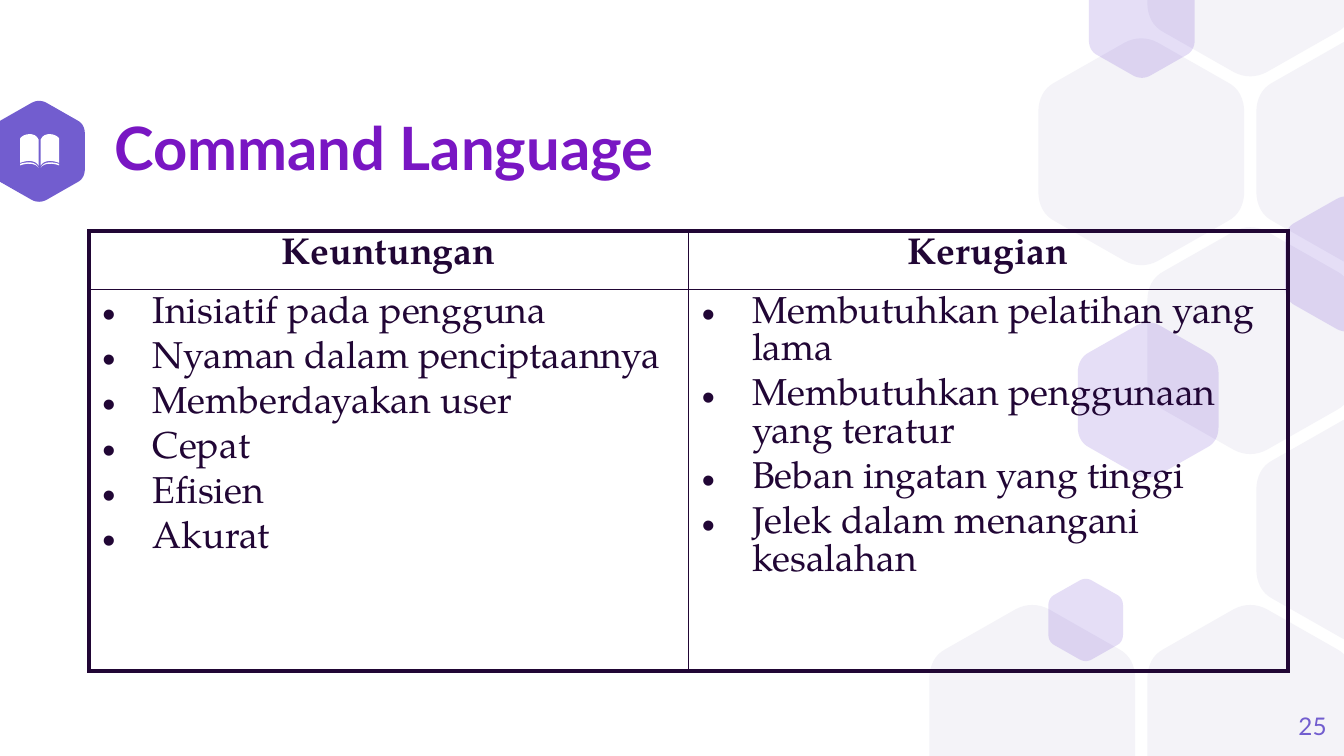
from dataclasses import dataclass

from lxml import etree
from pptx import Presentation
from pptx import util as u
from pptx.dml.color import RGBColor
from pptx.enum import text as t
from pptx.oxml import ns

HEX = {"paper": "FFFFFF", "pale": "F4F3F8", "tint": "5322C9", "badge": "725DCF",
       "title": "7916C3", "ink": "210635"}
HEAD, BODY = "Lato", "TeX Gyre Pagella"
WIDE, HIGH = 25.4, 14.29
THIN, THICK = 1, 2.25

Point = tuple[float, float]


@dataclass
class Hexa:
    """Rounded hexagon: centre and width in cm."""
    x: float
    y: float
    w: float
    color: str
    alpha: int = 100


def child(node, tag: str, **attrs):
    return etree.SubElement(node, ns.qn(tag), attrs)


def curve(a: Point, b: Point, c: Point, d: Point, steps: int = 8) -> list[Point]:
    """Points along a cubic curve."""
    out = []
    for i in range(steps + 1):
        s = i / steps
        k = ((1 - s) ** 3, 3 * s * (1 - s) ** 2, 3 * s * s * (1 - s), s ** 3)
        out.append(tuple(sum(m * p[n] for m, p in zip(k, (a, b, c, d)))
                         for n in (0, 1)))
    return out


def outline(slide, pts: list[Point], color: str, alpha: int = 100) -> None:
    pts = [(u.Cm(x), u.Cm(y)) for x, y in pts]
    pen = slide.shapes.build_freeform(*pts[0], scale=1.0)
    pen.add_line_segments(pts[1:], close=True)
    shape = pen.convert_to_shape()
    shape.shadow.inherit = False
    shape.line.fill.background()
    shape.fill.solid()
    shape.fill.fore_color.rgb = RGBColor.from_string(HEX[color])
    if alpha < 100:
        tone = shape.fill._xPr.find(".//" + ns.qn("a:srgbClr"))
        child(tone, "a:alpha", val=str(alpha * 1000))


def hexagon(slide, h: Hexa) -> None:
    # One side corner and the top corner, mirrored around the centre
    side = curve((1, -.35), (1, -.46), (.95, -.56), (.84, -.61))
    top = curve((.16, -.96), (.06, -1.01), (-.06, -1.01), (-.16, -.96))
    left = [(-x, y) for x, y in reversed(side)]
    half = side + top + left
    ring = half + [(-x, -y) for x, y in half]
    rx, ry = h.w / 2, h.w * 1.105 / 2
    pts = [(h.x + x * rx, min(max(h.y + y * ry, 0), HIGH)) for x, y in ring]
    outline(slide, pts, h.color, h.alpha)


def book(slide) -> None:
    mid = 0.75
    page = (curve((-.37, 2.62), (-.32, 2.53), (-.08, 2.48), (-.02, 2.64))
            + curve((-.02, 3.13), (-.08, 3.02), (-.25, 3.03), (-.37, 3.08)))
    foot = (curve((-.37, 3.1), (-.25, 3.06), (-.08, 3.04), (-.02, 3.17))
            + curve((-.02, 3.17), (-.08, 3.08), (-.25, 3.08), (-.37, 3.13)))
    for part in (foot, page):
        for sign in (1, -1):
            outline(slide, [(mid + sign * x, y) for x, y in part], "paper")


def write(frame, words: str | list[str], *, font: str, size: float, color: str,
          bold: bool = False, align=t.PP_ALIGN.LEFT, lead: float | None = None,
          gap: float = 0, bullet: bool = False) -> None:
    lines = [words] if isinstance(words, str) else words
    for i, line in enumerate(lines):
        para = frame.paragraphs[0] if i == 0 else frame.add_paragraph()
        if bullet:
            props = para._p.get_or_add_pPr()
            inset = u.Cm(0.95)
            props.set("marL", str(inset))
            props.set("indent", str(-inset))
            child(props, "a:buFont", typeface="Arial")
            child(props, "a:buChar", char="•")
        para.alignment = align
        para.space_before = u.Pt(gap if i else 0)
        if lead:
            para.line_spacing = lead
        run = para.add_run()
        run.text = line
        run.font.name, run.font.size, run.font.bold = font, u.Pt(size), bold
        run.font.color.rgb = RGBColor.from_string(HEX[color])


def label(slide, x: float, y: float, w: float, h: float, words: str, **style) -> None:
    frame = slide.shapes.add_textbox(*map(u.Cm, (x, y, w, h))).text_frame
    frame.word_wrap = True
    frame.vertical_anchor = t.MSO_ANCHOR.MIDDLE
    frame.margin_left = frame.margin_right = 0
    frame.margin_top = frame.margin_bottom = 0
    write(frame, words, **style)


def border(cell, **widths: float) -> None:
    props = cell._tc.get_or_add_tcPr()
    for i, (edge, size) in enumerate(widths.items()):
        line = etree.Element(ns.qn("a:ln" + edge), w=str(u.Pt(size)))
        child(child(line, "a:solidFill"), "a:srgbClr", val=HEX["ink"])
        props.insert(i, line)


def grid(slide, data: dict[str, list[str]]) -> None:
    wide, rows = 11.33, (1.09, 7.21)
    table = slide.shapes.add_table(
        2, len(data), u.Cm(1.68), u.Cm(4.37),
        u.Cm(wide * len(data)), u.Cm(sum(rows))).table
    table.first_row = table.horz_banding = False
    for row, tall in zip(table.rows, rows):
        row.height = u.Cm(tall)
    base = dict(font=BODY, size=20, color="ink")
    last = len(data) - 1
    for c, (name, items) in enumerate(data.items()):
        table.columns[c].width = u.Cm(wide)
        head, body = table.cell(0, c), table.cell(1, c)
        write(head.text_frame, name, bold=True, align=t.PP_ALIGN.CENTER, **base)
        write(body.text_frame, items, bullet=True, gap=4, **base)
        for r, cell in enumerate((head, body)):
            cell.fill.background()
            border(cell, L=THIN if c else THICK, R=THICK if c == last else THIN,
                   T=THIN if r else THICK, B=THICK if r else THIN)


def main() -> None:
    deck = Presentation()
    deck.slide_width, deck.slide_height = u.Cm(WIDE), u.Cm(HIGH)
    slide = deck.slides.add_slide(deck.slide_layouts[6])

    # Honeycomb: half-column and row steps
    hexes = [Hexa(0.74, 2.86, 1.73, "badge")]
    cells = [(-2, 4), (0, 4), (1, 1), (0, 0), (0, 2), (-1, 1), (1, 3)]
    hexes += [Hexa(23.63 + 2.06 * c, 3.57 * r - 0.7, 3.89, "pale") for c, r in cells]
    tints = [(25.45, 4.99, 2.32), (20.52, 11.72, 1.41),
             (21.58, 0.37, 2), (21.7, 7.56, 2.66)]
    hexes += [Hexa(*spot, "tint", 15) for spot in tints]
    for h in hexes:
        hexagon(slide, h)

    # Title, page number and icon
    label(slide, 2.16, 2.31, 16.69, 1.09, "Command Language",
          font=HEAD, size=32, color="title", bold=True, lead=0.9)
    label(slide, 23.55, 13.18, 1.52, 1.09, "25",
          font=HEAD, size=13, color="badge", align=t.PP_ALIGN.RIGHT)
    book(slide)

    # Pros and cons
    grid(slide, {
        "Keuntungan": ["Inisiatif pada pengguna", "Nyaman dalam penciptaannya",
                       "Memberdayakan user", "Cepat", "Efisien", "Akurat"],
        "Kerugian": ["Membutuhkan pelatihan yang lama",
                     "Membutuhkan penggunaan yang teratur",
                     "Beban ingatan yang tinggi",
                     "Jelek dalam menangani kesalahan"],
    })
    deck.save("out.pptx")


if __name__ == "__main__":
    main()
